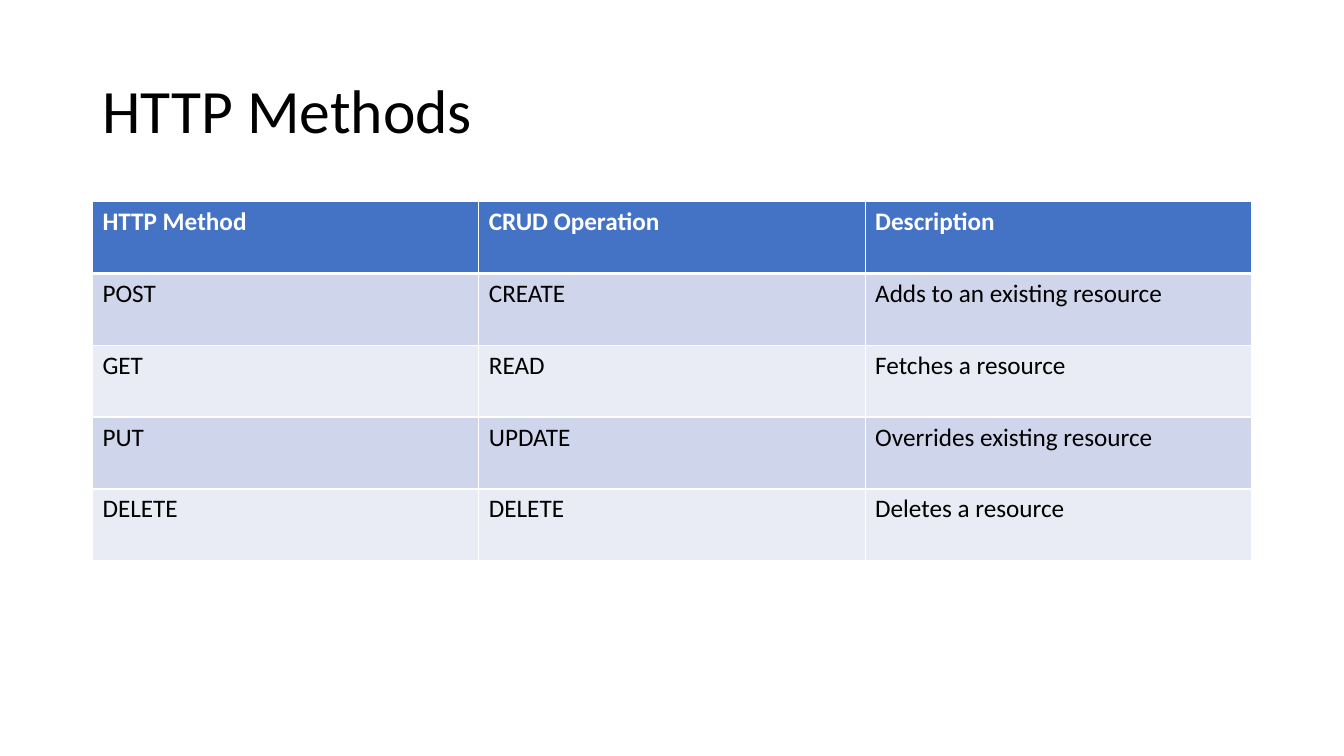
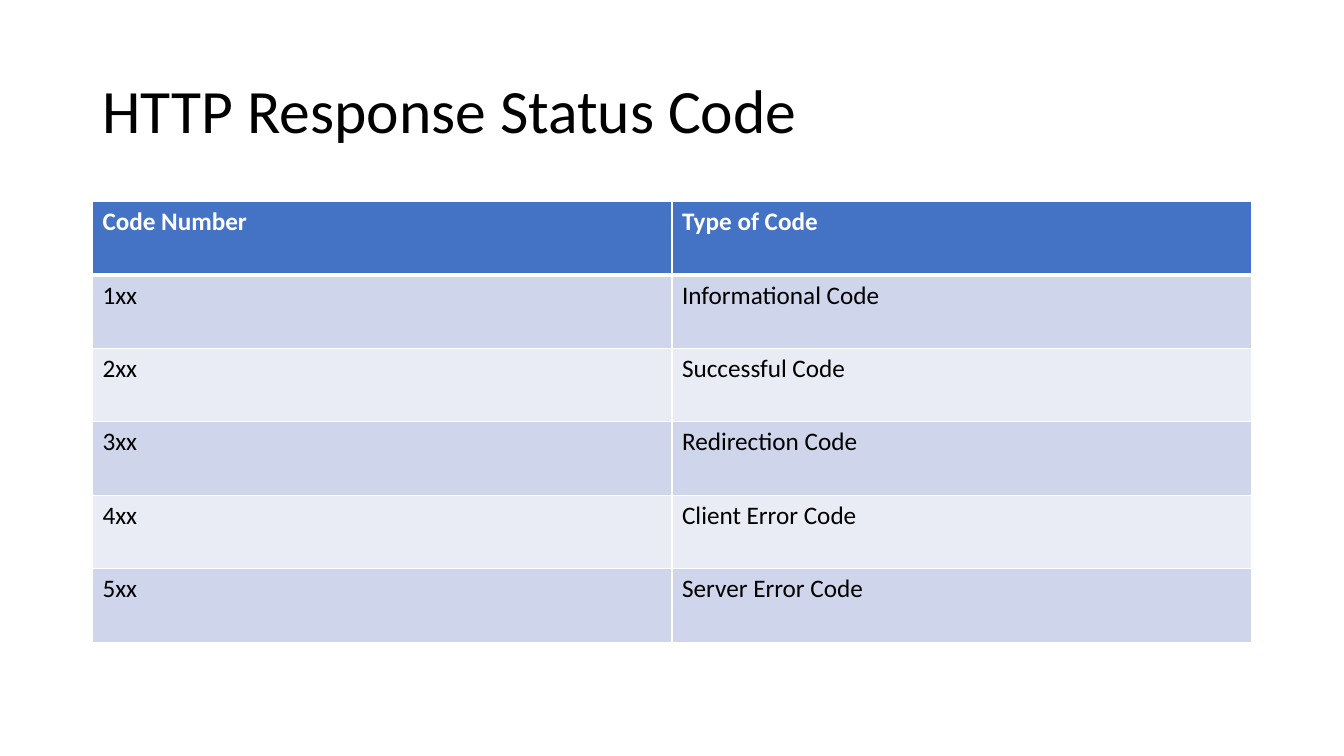
from dataclasses import dataclass

from lxml import etree
from pptx import Presentation
from pptx.dml.color import RGBColor
from pptx.enum import text
from pptx.oxml import ns
from pptx.util import Cm, Pt

# Content: title, row height in cm, table rows (header first)
SLIDES = [
    ("HTTP Methods", 1.81, [
        ("HTTP Method", "CRUD Operation", "Description"),
        ("POST", "CREATE", "Adds to an existing resource"),
        ("GET", "READ", "Fetches a resource"),
        ("PUT", "UPDATE", "Overrides existing resource"),
        ("DELETE", "DELETE", "Deletes a resource"),
    ]),
    ("HTTP Response Status Code", 1.85, [
        ("Code Number", "Type of Code"),
        ("1xx", "Informational Code"),
        ("2xx", "Successful Code"),
        ("3xx", "Redirection Code"),
        ("4xx", "Client Error Code"),
        ("5xx", "Server Error Code"),
    ]),
]


@dataclass(frozen=True)
class Theme:
    font: str = "Calibri"
    title_size: int = 44
    body_size: int = 18
    ink: str = "000000"
    white: str = "FFFFFF"
    header: str = "4472C4"
    bands: tuple = ("CFD5EA", "E9EBF5")
    rule: int = 1
    header_rule: int = 3


T = Theme()

# Shared layout
LEFT, WIDTH = Cm(2.33), Cm(29.21)
TITLE_TOP, TITLE_HEIGHT = Cm(1.01), Cm(3.68)
TABLE_TOP = Cm(5.08)


def add_run(p, words, size, color, bold=False):
    r = p.add_run()
    r.text = words
    r.font.name = T.font
    r.font.size = Pt(size)
    r.font.bold = bold
    r.font.color.rgb = RGBColor.from_string(color)


def add_title(s, words):
    sp = s.shapes.add_textbox(LEFT, TITLE_TOP, WIDTH, TITLE_HEIGHT)
    tf = sp.text_frame
    tf.word_wrap = True
    tf.vertical_anchor = text.MSO_ANCHOR.MIDDLE
    p = tf.paragraphs[0]
    p.line_spacing = 0.9
    add_run(p, words, T.title_size, T.ink)


def set_borders(cell, top, bottom):
    tc_pr = cell._tc.get_or_add_tcPr()
    widths = {"lnL": T.rule, "lnR": T.rule, "lnT": top, "lnB": bottom}
    for side, width in widths.items():
        ln = etree.SubElement(tc_pr, ns.qn(f"a:{side}"), w=str(Pt(width)))
        fill = etree.SubElement(ln, ns.qn("a:solidFill"))
        etree.SubElement(fill, ns.qn("a:srgbClr"), val=T.white)


def add_table(s, rows, row_height):
    n_rows, n_cols = len(rows), len(rows[0])
    table = s.shapes.add_table(n_rows, n_cols, LEFT, TABLE_TOP, WIDTH,
                               Cm(row_height) * n_rows).table
    for col in table.columns:
        col.width = WIDTH // n_cols
    for i, row in enumerate(rows):
        table.rows[i].height = Cm(row_height)
        is_header = i == 0
        fill = T.header if is_header else T.bands[(i - 1) % 2]
        color = T.white if is_header else T.ink
        # The thick rule lies between the header and the first body row
        top = T.header_rule if i == 1 else T.rule
        bottom = T.header_rule if is_header else T.rule
        for j, words in enumerate(row):
            cell = table.cell(i, j)
            set_borders(cell, top, bottom)
            cell.fill.solid()
            cell.fill.fore_color.rgb = RGBColor.from_string(fill)
            add_run(cell.text_frame.paragraphs[0], words, T.body_size,
                    color, is_header)


def main():
    prs = Presentation()
    prs.slide_width, prs.slide_height = Cm(33.87), Cm(19.05)
    for title, row_height, rows in SLIDES:
        s = prs.slides.add_slide(prs.slide_layouts[6])
        add_title(s, title)
        add_table(s, rows, row_height)
    prs.save("out.pptx")


if __name__ == "__main__":
    main()
